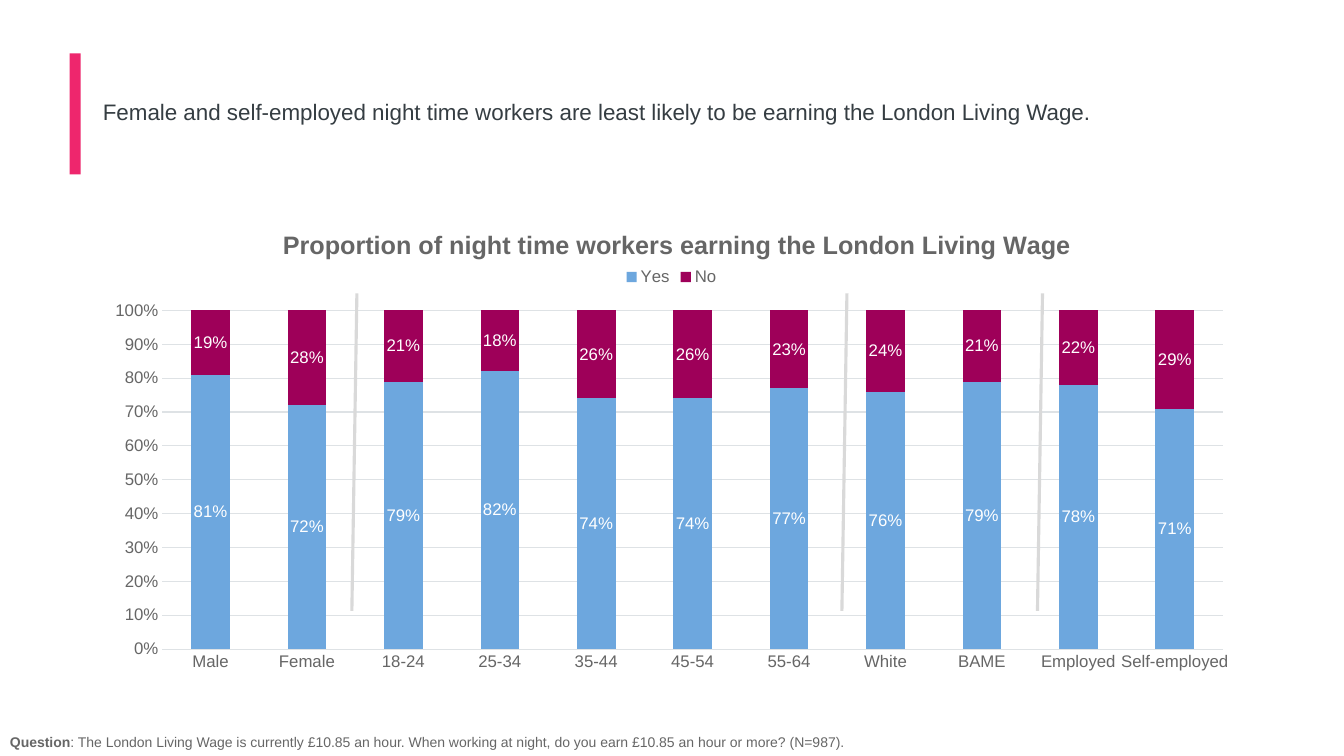
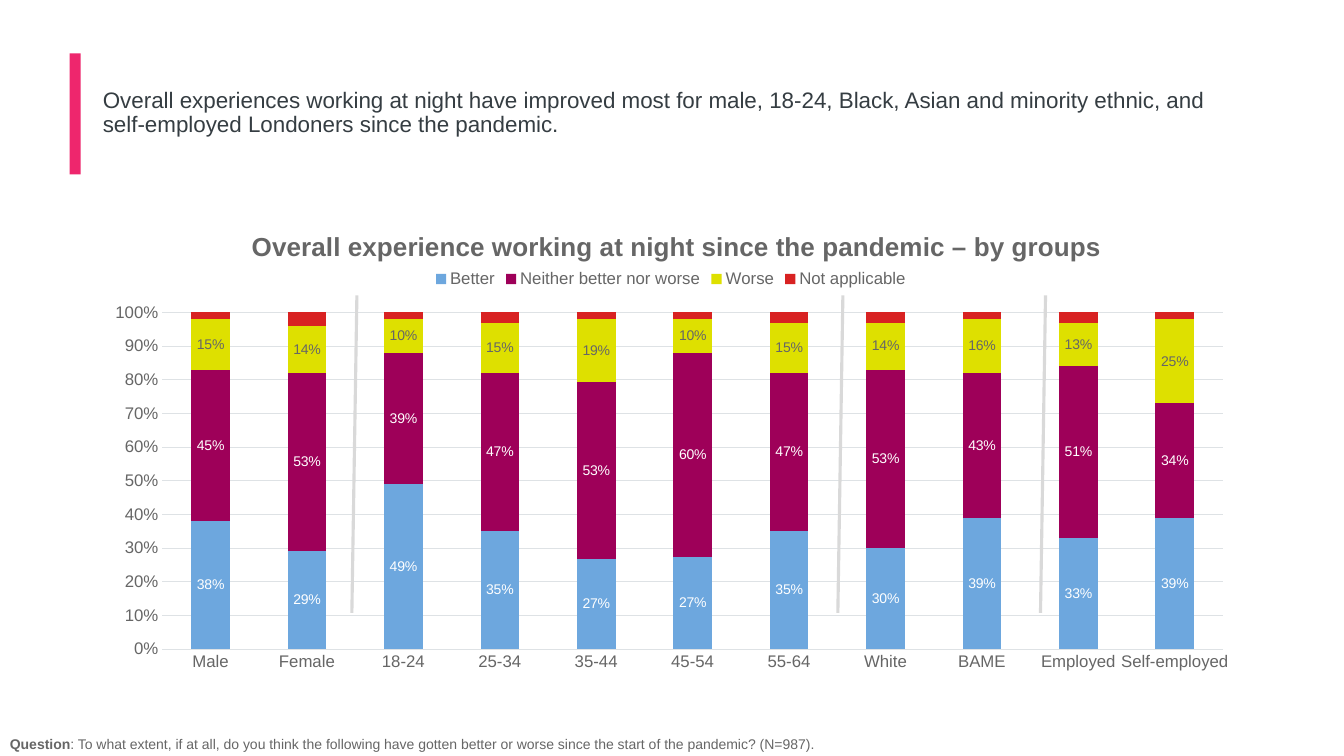
from dataclasses import dataclass

from pptx import Presentation
from pptx.chart.data import CategoryChartData
from pptx.dml.color import RGBColor
from pptx.enum.chart import XL_CHART_TYPE as ChartType
from pptx.enum.chart import XL_LABEL_POSITION as LabelPosition
from pptx.enum.chart import XL_LEGEND_POSITION as LegendPosition
from pptx.enum.chart import XL_TICK_MARK as TickMark
from pptx.enum.shapes import MSO_CONNECTOR as Connector
from pptx.enum.shapes import MSO_SHAPE as Shape
from pptx.enum.text import MSO_ANCHOR as Anchor
from pptx.enum.text import MSO_AUTO_SIZE as AutoSize
from pptx.enum.text import PP_ALIGN as Align
from pptx.oxml import parse_xml
from pptx.oxml.ns import nsdecls, qn
from pptx.util import Pt


@dataclass(frozen=True)
class Theme:
    font: str = "Arial"
    accent: str = "EE266D"
    title: str = "353D42"
    text: str = "666666"
    white: str = "FFFFFF"
    grid: str = "DEE2E5"
    divider: str = "D9D9D9"
    blue: str = "6DA7DE"
    plum: str = "9E0059"
    lime: str = "DEE000"
    red: str = "D82222"
    title_size: int = 16
    axis_size: int = 12
    small_size: int = 10


THEME = Theme()
EMU_PER_PX = 9144  # 100 px to the inch

# Shared geometry: left, top, width, height
SLIDE_SIZE = (1333, 750)
BAR_BOX = (69, 53, 11, 120)
TITLE_BOX = (92, 40, 1150, 145)
CHART_BOX = (92, 200, 1150, 476)
DIVIDER_HEIGHT = 315
DIVIDER_SLANT = 5

# Content
GROUPS = ["Male", "Female", "18-24", "25-34", "35-44", "45-54", "55-64",
          "White", "BAME", "Employed", "Self-employed"]

# Each series: name, percentages, fill, label colour (None for no labels)
SLIDES = [
    {
        "title": "Female and self-employed night time workers are least likely "
                 "to be earning the London Living Wage.",
        "chart_title": "Proportion of night time workers earning the London Living Wage",
        "chart_title_size": 18,
        "label_size": 12,
        "series": [
            ("Yes", [81, 72, 79, 82, 74, 74, 77, 76, 79, 78, 71],
             THEME.blue, THEME.white),
            ("No", [19, 28, 21, 18, 26, 26, 23, 24, 21, 22, 29],
             THEME.plum, THEME.white),
        ],
        "chart_title_at": (276, 222),
        "legend_at": (616, 262),
        "plot_box": (161, 308, 1052, 336),
        "dividers": (354, 840, 1034),
        "dividers_top": 291,
        "question": ": The London Living Wage is currently £10.85 an hour. When working "
                    "at night, do you earn £10.85 an hour or more? (N=987).",
        "question_box": (0, 723, 928, 27),
    },
    {
        "title": "Overall experiences working at night have improved most for male, "
                 "18-24, Black, Asian and minority ethnic, and self-employed Londoners "
                 "since the pandemic.",
        "chart_title": "Overall experience working at night since the pandemic – by groups",
        "chart_title_size": 18.6,
        "label_size": 10,
        "series": [
            ("Better", [38, 29, 49, 35, 27, 27, 35, 30, 39, 33, 39],
             THEME.blue, THEME.white),
            ("Neither better nor worse", [45, 53, 39, 47, 53, 60, 47, 53, 43, 51, 34],
             THEME.plum, THEME.white),
            ("Worse", [15, 14, 10, 15, 19, 10, 15, 14, 16, 13, 25],
             THEME.lime, THEME.text),
            ("Not applicable", [2, 4, 2, 3, 2, 2, 3, 3, 2, 3, 2],
             THEME.red, None),
        ],
        "chart_title_at": (245, 223),
        "legend_at": (427, 264),
        "plot_box": (161, 310, 1052, 334),
        "dividers": (354, 836, 1037),
        "dividers_top": 293,
        "question": ": To what extent, if at all, do you think the following have gotten "
                    "better or worse since the start of the pandemic? (N=987).",
        "question_box": (0, 725, 1016, 27),
    },
]


def px(*lengths):
    return [round(length * EMU_PER_PX) for length in lengths]


def color(value):
    return RGBColor.from_string(value)


def format_font(font, size, fill=THEME.text, bold=False):
    font.name = THEME.font
    font.size = Pt(size)
    font.bold = bold
    font.color.rgb = color(fill)


def write_text(paragraph, text, **font_format):
    run = paragraph.add_run()
    run.text = text
    format_font(run.font, **font_format)


def format_line(line, fill, width):
    line.color.rgb = color(fill)
    line.width = Pt(width)


# Title and accent bar
def add_heading(slide, text):
    bar = slide.shapes.add_shape(Shape.RECTANGLE, *px(*BAR_BOX))
    bar.shadow.inherit = False
    bar.fill.solid()
    bar.fill.fore_color.rgb = color(THEME.accent)
    bar.line.fill.background()

    title = slide.shapes.title
    title.left, title.top, title.width, title.height = px(*TITLE_BOX)
    frame = title.text_frame
    frame.word_wrap = True
    frame.auto_size = AutoSize.NONE
    frame.vertical_anchor = Anchor.MIDDLE
    paragraph = frame.paragraphs[0]
    paragraph.alignment = Align.LEFT
    paragraph.line_spacing = 0.9
    write_text(paragraph, text, size=THEME.title_size, fill=THEME.title)


# Fixed place of a chart part, as fractions of the chart frame
def make_layout(left, top, width=None, height=None):
    chart_left, chart_top, chart_width, chart_height = CHART_BOX
    values = {"x": (left - chart_left) / chart_width,
              "y": (top - chart_top) / chart_height}
    target = ""
    if width is not None:
        target = '<c:layoutTarget val="inner"/>'
        values |= {"w": width / chart_width, "h": height / chart_height}
    modes = "".join(f'<c:{key}Mode val="edge"/>' for key in ("x", "y"))
    sizes = "".join(f'<c:{key} val="{value:.4f}"/>' for key, value in values.items())
    return parse_xml(f'<c:layout {nsdecls("c")}><c:manualLayout>{target}{modes}{sizes}'
                     "</c:manualLayout></c:layout>")


def place_part(chart, part_name, previous_name, box):
    part = chart.element.find(".//" + qn(part_name))
    for layout in part.findall(qn("c:layout")):
        part.remove(layout)
    layout = make_layout(*box)
    if previous_name:
        part.find(qn(previous_name)).addnext(layout)
    else:
        part.insert(0, layout)


def format_axes(chart):
    for axis in (chart.category_axis, chart.value_axis):
        axis.major_tick_mark = axis.minor_tick_mark = TickMark.NONE
        format_font(axis.tick_labels.font, THEME.axis_size)
    format_line(chart.category_axis.format.line, THEME.grid, 0.75)

    value_axis = chart.value_axis
    value_axis.minimum_scale, value_axis.maximum_scale = 0, 1
    value_axis.major_unit = 0.1
    value_axis.tick_labels.number_format = "0%"
    value_axis.tick_labels.number_format_is_linked = False
    value_axis.format.line.fill.background()
    format_line(value_axis.major_gridlines.format.line, THEME.grid, 0.75)


def format_series(plot, content):
    plot.gap_width = 150
    plot.overlap = 100
    plot.vary_by_categories = False
    for series, (_, _, fill, label_color) in zip(plot.series, content["series"]):
        series.format.fill.solid()
        series.format.fill.fore_color.rgb = color(fill)
        if label_color:
            labels = series.data_labels
            labels.show_value = True
            labels.position = LabelPosition.CENTER
            labels.number_format = "0%"
            labels.number_format_is_linked = False
            format_font(labels.font, content["label_size"], label_color)


def add_stacked_chart(slide, content):
    data = CategoryChartData(number_format="0%")
    data.categories = GROUPS
    for name, percentages, _, _ in content["series"]:
        data.add_series(name, [value / 100 for value in percentages])
    chart = slide.shapes.add_chart(
        ChartType.COLUMN_STACKED_100, *px(*CHART_BOX), data).chart
    format_font(chart.font, THEME.small_size)

    chart.has_title = True
    write_text(chart.chart_title.text_frame.paragraphs[0], content["chart_title"],
               size=content["chart_title_size"], bold=True)
    chart.chart_title.include_in_layout = False
    chart.has_legend = True
    chart.legend.position = LegendPosition.TOP
    chart.legend.include_in_layout = False
    format_font(chart.legend.font, THEME.axis_size)

    format_axes(chart)
    format_series(chart.plots[0], content)
    place_part(chart, "c:title", "c:tx", content["chart_title_at"])
    place_part(chart, "c:legend", "c:legendPos", content["legend_at"])
    place_part(chart, "c:plotArea", None, content["plot_box"])


# Slanted lines between the groups of columns
def add_dividers(slide, lefts, top):
    for left in lefts:
        divider = slide.shapes.add_connector(
            Connector.STRAIGHT,
            *px(left, top, left - DIVIDER_SLANT, top + DIVIDER_HEIGHT))
        format_line(divider.line, THEME.divider, 2.25)
        divider.element.spPr.append(parse_xml(f'<a:effectLst {nsdecls("a")}/>'))


# Survey question at the foot
def add_question(slide, text, box):
    frame = slide.shapes.add_textbox(*px(*box)).text_frame
    frame.word_wrap = True
    paragraph = frame.paragraphs[0]
    write_text(paragraph, "Question", size=THEME.small_size, bold=True)
    write_text(paragraph, text, size=THEME.small_size)


def main():
    presentation = Presentation()
    presentation.slide_width, presentation.slide_height = px(*SLIDE_SIZE)
    title_only = presentation.slide_layouts[5]
    for content in SLIDES:
        slide = presentation.slides.add_slide(title_only)
        add_heading(slide, content["title"])
        add_stacked_chart(slide, content)
        add_dividers(slide, content["dividers"], content["dividers_top"])
        add_question(slide, content["question"], content["question_box"])
    presentation.save("out.pptx")


if __name__ == "__main__":
    main()
